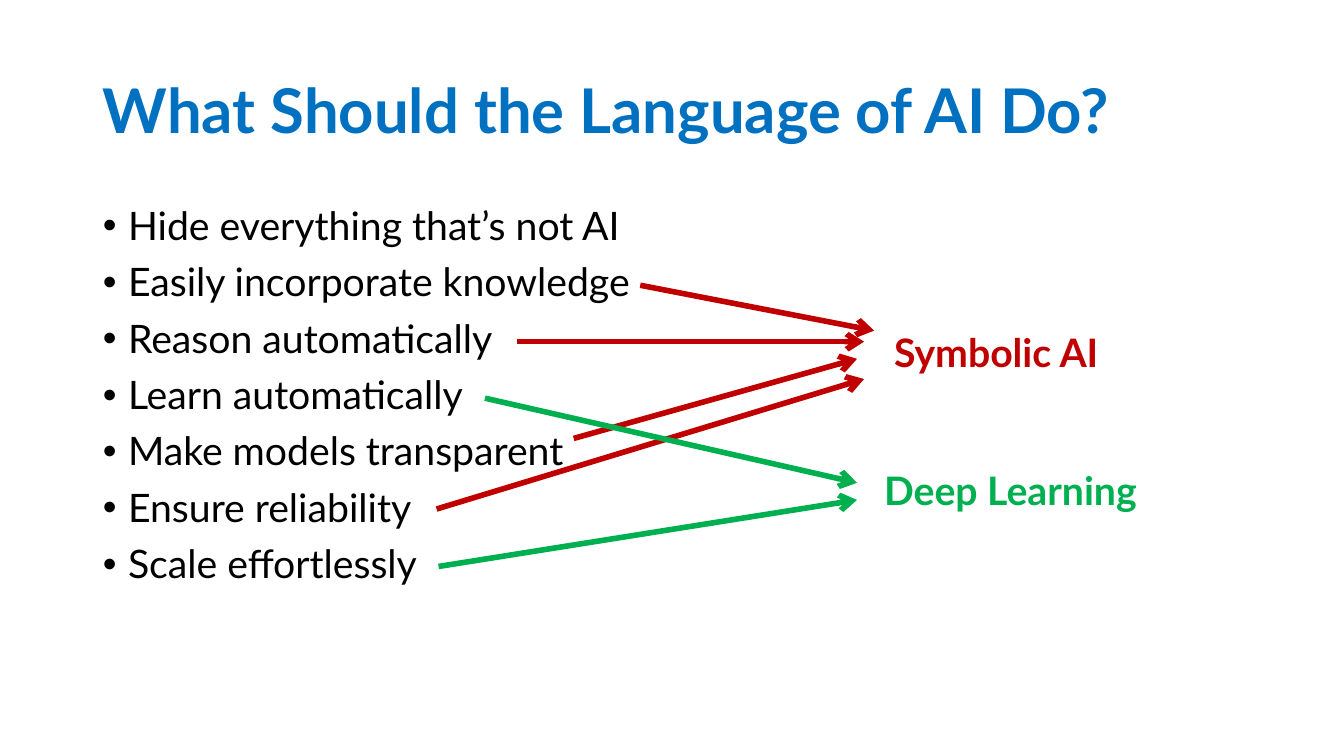
from dataclasses import dataclass

from lxml import etree
from pptx import Presentation
from pptx import util as u
from pptx.dml import color
from pptx.enum import shapes, text
from pptx.oxml import ns


@dataclass(frozen=True)
class Theme:
    """Colours, font and type sizes of the slide."""
    font: str = "Lato"
    heading: str = "0070C0"
    ink: str = "000000"
    symbolic: str = "C00000"
    learning: str = "00B050"
    title_size: int = 44
    text_size: int = 28
    arrow_width: int = 4
    line_spacing: float = 0.9
    space_before: int = 10
    indent: float = 0.25


class SlideBuilder:
    """Draws each kind of element on one slide in one theme."""

    def __init__(self, slide, theme):
        """Keep the slide and its theme."""
        self.slide = slide
        self.theme = theme

    def place(self, shape, box):
        """Move a shape to left, top, width, height in inches."""
        shape.left, shape.top, shape.width, shape.height = map(u.Inches, box)

    def run(self, paragraph, words, size, hue, bold=False):
        """Add one formatted run."""
        run = paragraph.add_run()
        run.text = words
        run.font.name = self.theme.font
        run.font.size = u.Pt(size)
        run.font.bold = bold
        run.font.color.rgb = color.RGBColor.from_string(hue)

    def title(self, words, box):
        """Fill the title placeholder."""
        heading = self.slide.shapes.title
        self.place(heading, box)
        frame = heading.text_frame
        frame.auto_size = text.MSO_AUTO_SIZE.NONE
        frame.vertical_anchor = text.MSO_ANCHOR.MIDDLE
        line = frame.paragraphs[0]
        line.alignment = text.PP_ALIGN.LEFT
        line.line_spacing = self.theme.line_spacing
        self.run(line, words, self.theme.title_size, self.theme.heading, True)

    def bullets(self, goals, box):
        """Fill the body placeholder with a bulleted list."""
        body = self.slide.placeholders[1]
        self.place(body, box)
        frame = body.text_frame
        frame.auto_size = text.MSO_AUTO_SIZE.NONE
        frame.vertical_anchor = text.MSO_ANCHOR.TOP
        for index, goal in enumerate(goals):
            item = frame.add_paragraph() if index else frame.paragraphs[0]
            item.line_spacing = self.theme.line_spacing
            item.space_before = u.Pt(self.theme.space_before)
            props = item._p.get_or_add_pPr()
            indent = u.Inches(self.theme.indent)
            props.set("marL", str(indent))
            props.set("indent", str(-indent))
            etree.SubElement(props, ns.qn("a:buFont")).set("typeface", "Arial")
            etree.SubElement(props, ns.qn("a:buChar")).set("char", "•")
            self.run(item, goal, self.theme.text_size, self.theme.ink)

    def label(self, words, box, hue):
        """Add a bold text label."""
        label = self.slide.shapes.add_textbox(*map(u.Inches, box))
        label.text_frame.word_wrap = True
        self.run(label.text_frame.paragraphs[0], words, self.theme.text_size, hue, True)

    def arrow(self, start, end, hue):
        """Add a straight arrow between two points in inches."""
        arrow = self.slide.shapes.add_connector(
            shapes.MSO_CONNECTOR.STRAIGHT, *map(u.Inches, start + end))
        arrow.line.color.rgb = color.RGBColor.from_string(hue)
        arrow.line.width = u.Pt(self.theme.arrow_width)
        props = arrow._element.spPr
        etree.SubElement(props.find(ns.qn("a:ln")), ns.qn("a:tailEnd")).set("type", "arrow")
        etree.SubElement(props, ns.qn("a:effectLst"))


GOALS = [
    "Hide everything that’s not AI",
    "Easily incorporate knowledge",
    "Reason automatically",
    "Learn automatically",
    "Make models transparent",
    "Ensure reliability",
    "Scale effortlessly",
]


def main():
    """Build and save the slide."""
    deck = Presentation()
    deck.slide_width, deck.slide_height = u.Inches(13.33), u.Inches(7.5)
    theme = Theme()
    builder = SlideBuilder(deck.slides.add_slide(deck.slide_layouts[1]), theme)
    builder.title("What Should the Language of AI Do?", (0.92, 0.4, 11.5, 1.45))
    builder.bullets(GOALS, (0.92, 2, 11.5, 4.76))

    approaches = [
        ("Symbolic AI", (8.77, 3.21, 2.33, 0.57), theme.symbolic, [
            ((6.35, 2.83), (8.67, 3.28)),
            ((5.13, 3.39), (8.57, 3.39)),
            ((5.69, 4.35), (8.5, 3.56)),
            ((4.33, 5.05), (8.57, 3.76)),
        ]),
        ("Deep Learning", (8.67, 4.58, 2.75, 0.59), theme.learning, [
            ((4.81, 3.95), (8.5, 4.79)),
            ((4.35, 5.62), (8.5, 4.96)),
        ]),
    ]
    for approach, box, hue, links in approaches:
        builder.label(approach, box, hue)
        for start, end in links:
            builder.arrow(start, end, hue)
    deck.save("out.pptx")


if __name__ == "__main__":
    main()
